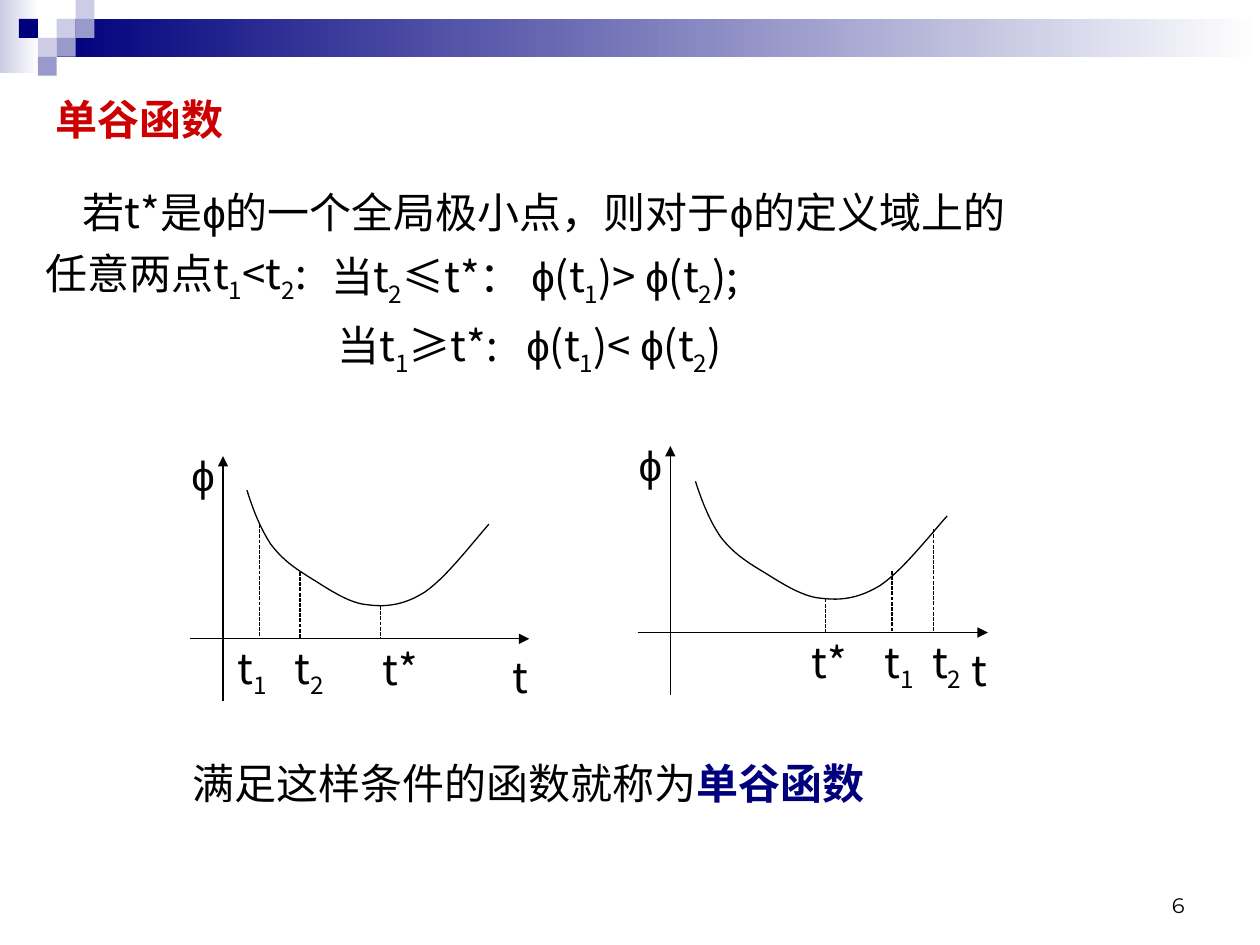
"""Build a slide that explains unimodal functions with two curve sketches."""
from dataclasses import dataclass
from itertools import groupby

from lxml import etree
from pptx import Presentation
from pptx import util as u
from pptx.dml.color import RGBColor as Rgb
from pptx.enum import dml, shapes, text
from pptx.oxml.ns import qn


@dataclass(frozen=True)
class Theme:
    """Colours, fonts and type sizes of the slide."""
    ink: str = "000000"
    white: str = "FFFFFF"
    navy: str = "00007D"
    mid: str = "9999CC"
    pale: str = "CCCCE6"
    red: str = "CC0000"
    sans: str = "Noto Sans CJK SC"
    greek: str = "Arial"
    digit: str = "Montserrat"
    body: float = 24
    small: float = 12
    rule: float = 0.75


THEME = Theme()
CURVE = [(0, 0), (.05, .16), (.11, .31), (.19, .43), (.28, .55), (.38, .62),
         (.51, .7), (.64, .78), (.81, .9), (.96, .91), (1.11, .93),
         (1.25, .91), (1.41, .81), (1.57, .7), (1.74, .48), (1.92, .27)]
LEFT = {
    "axes": [(1.51, 5.07, 4.2, 5.07), (1.77, 5.56, 1.77, 3.62)],
    "start": (1.96, 3.89), "scale": (1, 1),
    "drops": [(3.02, 4.81), (2.06, 4.16), (2.38, 4.54)],
    "labels": [("ϕ", 1.42, 3.52), ("t", 3.97, 5.12), ("t_1", 1.79, 5.05),
               ("t_2", 2.24, 5.05), ("t*", 2.94, 5.06)],
}
RIGHT = {
    "axes": [(5.06, 5.02, 7.84, 5.02), (5.32, 5.52, 5.32, 3.54)],
    "start": (5.52, 3.82), "scale": (1.04, 1.02),
    "drops": [(6.55, 4.75), (7.08, 4.53), (7.41, 4.2)],
    "labels": [("ϕ", 4.97, 3.44), ("t", 7.61, 5.07), ("t*", 6.34, 5),
               ("t_1", 6.92, 5), ("t_2", 7.3, 5)],
}


def put(item, vals):
    """Set each named attribute of an item."""
    for name, val in vals.items():
        setattr(item, name, val)


def box(*sides):
    """Turn numbers into lengths in inches."""
    return [u.Inches(side) for side in sides]


def write(para, line, color=THEME.ink, bold=False, size=THEME.body, face=THEME.sans):
    """Add runs to a paragraph, with an underscore before each subscript."""
    marks = [("sub" if prev == "_" else "phi" if char == "ϕ" else "base", char)
             for prev, char in zip(" " + line, line) if char != "_"]
    for kind, group in groupby(marks, key=lambda mark: mark[0]):
        run = para.add_run()
        run.text = "".join(char for _, char in group)
        put(run.font, {"size": u.Pt(size), "bold": bold,
                       "name": THEME.greek if kind == "phi" else face})
        run.font.color.rgb = Rgb.from_string(color)
        props = run.font._element
        etree.SubElement(props, qn("a:ea"), typeface=THEME.sans)
        if kind == "sub":
            props.set("baseline", "-25000")


def frame(shape, anchor=text.MSO_ANCHOR.TOP):
    """Format a text frame and return its first paragraph."""
    body = shape.text_frame
    left, top = box(0.1, 0.05)
    put(body, {"word_wrap": True, "vertical_anchor": anchor,
               "auto_size": text.MSO_AUTO_SIZE.NONE,
               "margin_left": left, "margin_right": left,
               "margin_top": top, "margin_bottom": top})
    return body.paragraphs[0]


def label(slide, line, left, top, width=0.6, height=0.56):
    """Add a line of text and return its paragraph."""
    para = frame(slide.shapes.add_textbox(*box(left, top, width, height)))
    write(para, line)
    return para


def block(slide, sides, color, fade=False):
    """Add a plain or fading rectangle."""
    shape = slide.shapes.add_shape(shapes.MSO_SHAPE.RECTANGLE, *box(*sides))
    shape.shadow.inherit = False
    shape.line.fill.background()
    if fade:
        shape.fill.gradient()
        shape.fill.gradient_angle = 180
        for stop, tint in zip(shape.fill.gradient_stops, (THEME.white, color)):
            stop.color.rgb = Rgb.from_string(tint)
    else:
        shape.fill.solid()
        shape.fill.fore_color.rgb = Rgb.from_string(color)


def ink(line):
    """Give a line its colour and width."""
    line.color.rgb = Rgb.from_string(THEME.ink)
    line.width = u.Pt(THEME.rule)


def rule(slide, ends, arrow=False):
    """Add an axis with an arrowhead, or a dashed drop line."""
    link = slide.shapes.add_connector(shapes.MSO_CONNECTOR.STRAIGHT, *box(*ends))
    ink(link.line)
    if arrow:
        etree.SubElement(link.line._get_or_add_ln(), qn("a:tailEnd"), type="triangle")
    else:
        link.line.dash_style = dml.MSO_LINE.SQUARE_DOT
    etree.SubElement(link._element.spPr, qn("a:effectLst"))


def bend(points, steps=12):
    """Yield points along a chain of cubic curves."""
    for first in range(0, len(points) - 1, 3):
        part = points[first:first + 4]
        for step in range(1, steps + 1):
            t = step / steps
            rates = ((1 - t) ** 3, 3 * t * (1 - t) ** 2, 3 * t * t * (1 - t), t ** 3)
            yield tuple(sum(r * p[axis] for r, p in zip(rates, part)) for axis in (0, 1))


def graph(slide, data):
    """Draw axes, valley curve, drop lines and labels."""
    for ends in data["axes"]:
        rule(slide, ends, arrow=True)
    points = [tuple(o + k * v for o, k, v in zip(data["start"], data["scale"], point))
              for point in CURVE]
    pen = slide.shapes.build_freeform(*box(*points[0]), scale=1.0)
    pen.add_line_segments([box(*point) for point in bend(points)], close=False)
    curve = pen.convert_to_shape()
    curve.shadow.inherit = False
    curve.fill.background()
    ink(curve.line)
    base = data["axes"][0][1]
    for left, top in data["drops"]:
        rule(slide, (left, top, left, base))
    for line, left, top in data["labels"]:
        label(slide, line, left, top)


def band(slide):
    """Draw the header bars and the squares on their grid."""
    block(slide, (0, 0, 0.31, 0.58), THEME.pale, fade=True)
    block(slide, (0.45, 0.15, 9.55, 0.3), THEME.navy, fade=True)
    side = 0.15
    for col, row, color in [(3, 1, THEME.pale), (4, 0, THEME.pale), (4, 1, THEME.mid),
                            (2, 2, THEME.pale), (1, 1, THEME.navy), (3, 2, THEME.mid),
                            (2, 3, THEME.mid)]:
        block(slide, (col * side, row * side, side, side), color)


def head(slide):
    """Place and format the title."""
    title = slide.shapes.title
    put(title, dict(zip(("left", "top", "width", "height"), box(0.34, 0.69, 1.7, 0.5))))
    para = frame(title)
    para.alignment = text.PP_ALIGN.LEFT
    write(para, "单谷函数", THEME.red, True)


def prose(slide):
    """Add the definition, its two cases and the conclusion."""
    para = label(slide, "若t*是ϕ的一个全局极小点，则对于ϕ的定义域上的", 0.26, 1.43, 8.6, 1.04)
    para._p.get_or_add_pPr().set("indent", str(u.Inches(0.3)))
    more = slide.shapes[-1].text_frame.add_paragraph()
    write(more, "任意两点t_1<t_2:")
    for item in (para, more):
        item.space_before = u.Pt(6)
    label(slide, "当t_2≤t*： ϕ(t_1)> ϕ(t_2);", 2.53, 1.94, 4.63)
    case = label(slide, "当t_1≥t*:\tϕ(t_1)< ϕ(t_2)", 2.58, 2.49, 4.37)
    tabs = etree.SubElement(case._p.get_or_add_pPr(), qn("a:tabLst"))
    etree.SubElement(tabs, qn("a:tab"), pos=str(u.Inches(1.5)), algn="l")
    last = label(slide, "满足这样条件的函数就称为", 1.43, 5.96, 5.7, 0.5)
    write(last, "单谷函数", THEME.navy, True)


def folio(slide):
    """Add the page number."""
    shape = slide.shapes.add_textbox(*box(7.17, 6.83, 2.33, 0.5))
    para = frame(shape, text.MSO_ANCHOR.BOTTOM)
    para.alignment = text.PP_ALIGN.RIGHT
    write(para, "6", size=THEME.small, face=THEME.digit)


def main():
    """Build and save the slide."""
    deck = Presentation()
    put(deck, {"slide_width": u.Inches(10), "slide_height": u.Inches(7.5)})
    slide = deck.slides.add_slide(deck.slide_layouts[5])
    band(slide)
    for data in (LEFT, RIGHT):
        graph(slide, data)
    head(slide)
    prose(slide)
    folio(slide)
    deck.save("out.pptx")


if __name__ == "__main__":
    main()
